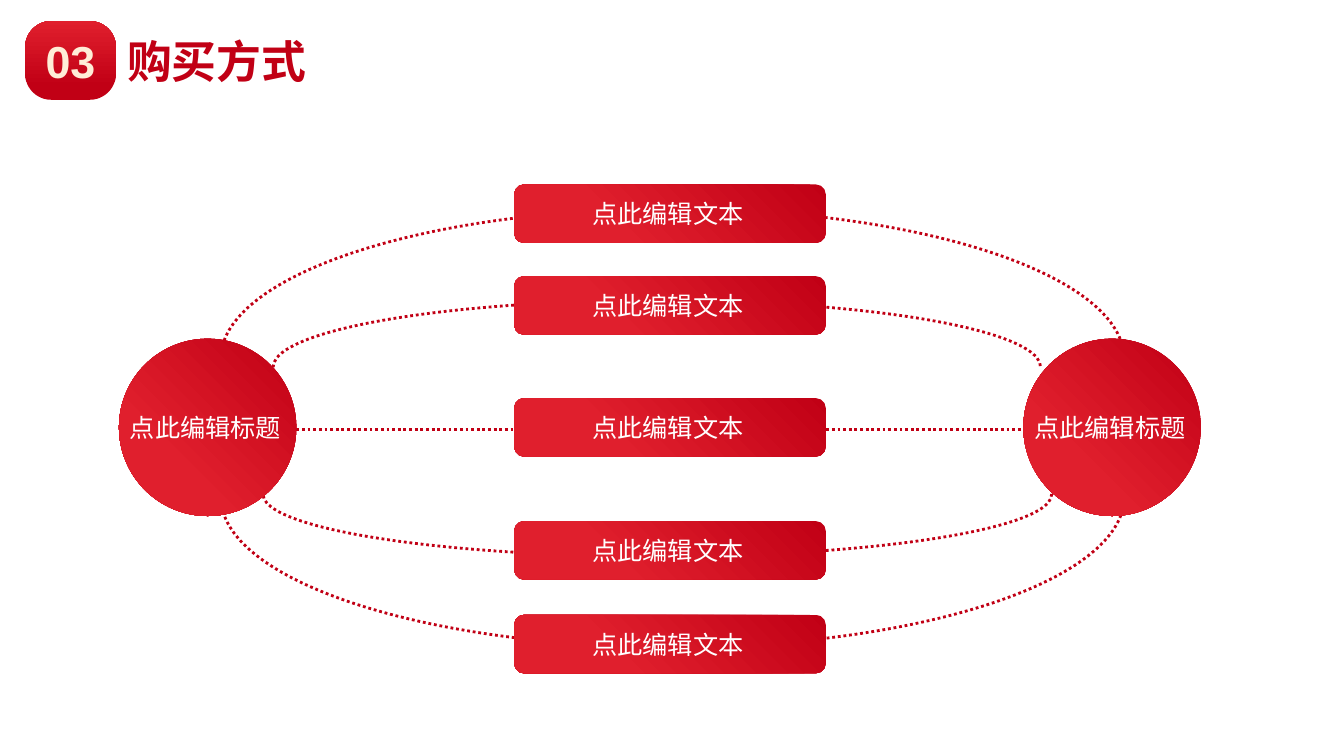
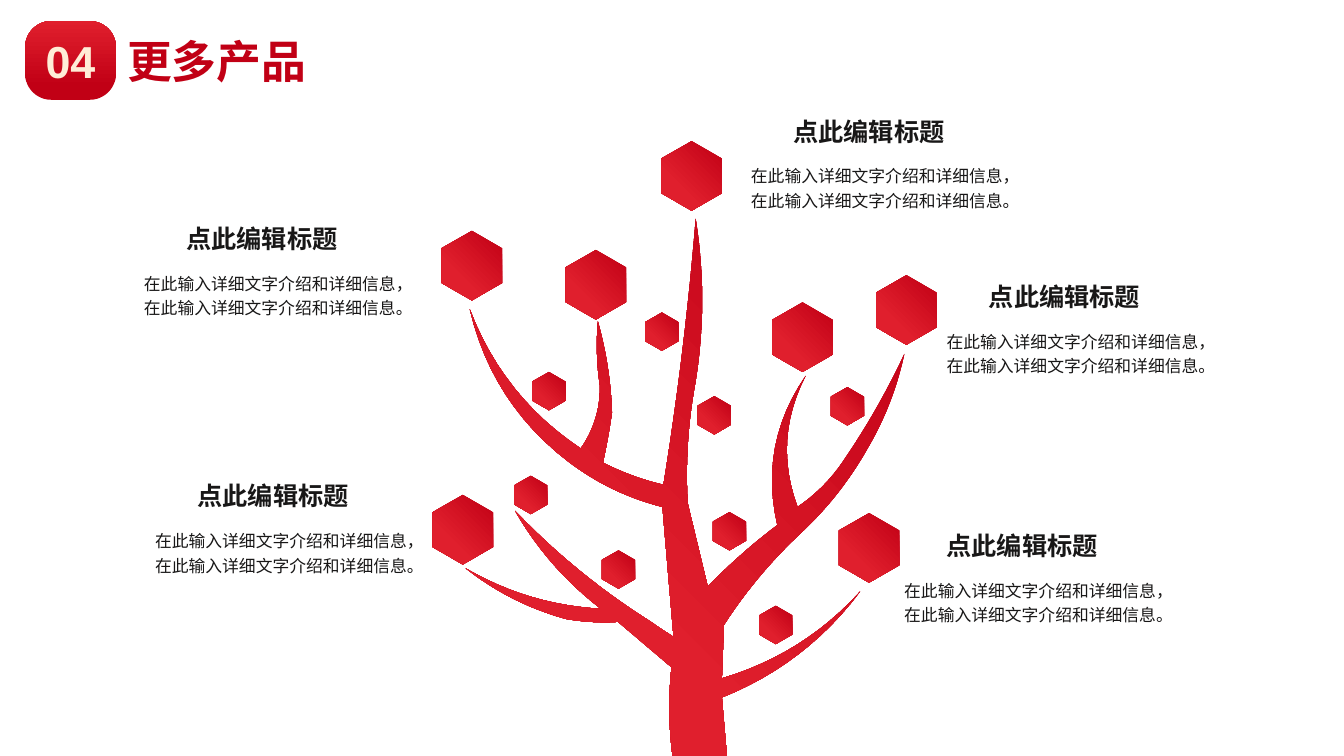
import pptx
import pptx.dml.color
import pptx.enum.dml
import pptx.enum.shapes
import pptx.enum.text
import pptx.oxml.ns
import pptx.util
from lxml import etree

Inches = pptx.util.Inches
Shape = pptx.enum.shapes.MSO_SHAPE
Align = pptx.enum.text.PP_ALIGN
Anchor = pptx.enum.text.MSO_ANCHOR


class Theme:
    font = "Arial"
    deep_red = pptx.dml.color.RGBColor.from_string("C10015")
    bright_red = pptx.dml.color.RGBColor.from_string("E01F2D")
    cream = pptx.dml.color.RGBColor.from_string("FFEDD7")
    white = pptx.dml.color.RGBColor.from_string("FFFFFF")
    ink = pptx.dml.color.RGBColor.from_string("181717")
    title_size = pptx.util.Pt(32)
    label_size = pptx.util.Pt(18)
    body_size = pptx.util.Pt(12)
    dot_width = pptx.util.Pt(2)


def paint_red(shape, deep_at=0, bright_at=0.69, angle=225):
    """Fill a shape with the red gradient, without outline or shadow."""
    shape.shadow.inherit = False
    shape.line.fill.background()
    shape.fill.gradient()
    shape.fill.gradient_angle = angle
    deep_stop, bright_stop = shape.fill.gradient_stops
    deep_stop.color.rgb, deep_stop.position = Theme.deep_red, deep_at
    bright_stop.color.rgb, bright_stop.position = Theme.bright_red, bright_at


def write(shape, text, size, color, bold=False, align=Align.LEFT,
          anchor=Anchor.TOP, wrap=True):
    """Put one formatted paragraph in a shape and return it."""
    frame = shape.text_frame
    frame.text = text
    frame.word_wrap = wrap
    frame.vertical_anchor = anchor
    frame.auto_size = pptx.enum.text.MSO_AUTO_SIZE.NONE
    para = frame.paragraphs[0]
    para.alignment = align
    para.font.name = Theme.font
    para.font.size = size
    para.font.bold = bold
    para.font.color.rgb = color
    return para


deck = pptx.Presentation()
deck.slide_width = Inches(13.33)
deck.slide_height = Inches(7.5)

# Shared header: numbered badge and title
pages = []
for number, title in (("03", "购买方式"), ("04", "更多产品")):
    page = deck.slides.add_slide(deck.slide_layouts[5])
    pages.append(page)
    badge = page.shapes.add_shape(Shape.ROUNDED_RECTANGLE, Inches(0.25),
                                  Inches(0.21), Inches(0.9), Inches(0.78))
    badge.adjustments[0] = 0.33
    paint_red(badge, deep_at=0.17, bright_at=1, angle=90)
    write(badge, number, Theme.title_size, Theme.cream, True, Align.CENTER, Anchor.MIDDLE)
    heading = page.shapes.title
    heading.left, heading.top = Inches(1.16), Inches(0.28)
    heading.width, heading.height = Inches(2.4), Inches(0.64)
    write(heading, title, Theme.title_size, Theme.deep_red, True)
purchase_page, products_page = pages

# Purchase page: dotted arcs; the lower ones are turned upside down
outer_sweep = (109.4, 214.65)
inner_sweep = (107.95, 0)
arcs = [
    # left, top, width, height, rotation, sweep
    (2.19, 2.07, 8.96, 2.98, 0, outer_sweep),
    (2.71, 2.98, 7.61, 1.32, 0, inner_sweep),
    (2.61, 4.29, 7.82, 1.23, 180, inner_sweep),
    (2.19, 3.44, 8.96, 2.98, 180, outer_sweep),
]
dotted = []
for left, top, width, height, rotation, sweep in arcs:
    arc = purchase_page.shapes.add_shape(Shape.ARC, Inches(left), Inches(top),
                                         Inches(width), Inches(height))
    arc.rotation = rotation
    arc.adjustments[0], arc.adjustments[1] = sweep
    arc.fill.background()
    arc.shadow.inherit = False
    dotted.append(arc)
middle_line = purchase_page.shapes.add_connector(
    pptx.enum.shapes.MSO_CONNECTOR.STRAIGHT,
    Inches(2.94), Inches(4.26), Inches(10.16), Inches(4.26))
dotted.append(middle_line)
for curve in dotted:
    curve.line.color.rgb = Theme.deep_red
    curve.line.width = Theme.dot_width
    curve.line.dash_style = pptx.enum.dml.MSO_LINE.ROUND_DOT
etree.SubElement(middle_line._element.spPr, pptx.oxml.ns.qn("a:effectLst"))

# Purchase page: two circles joined by five bars
nodes = [(Shape.OVAL, left, 3.36, 1.76, 1.76, "点此编辑标题") for left in (1.18, 10.15)]
nodes += [(Shape.ROUNDED_RECTANGLE, 5.1, top, 3.09, 0.58, "点此编辑文本")
          for top in (1.83, 2.74, 3.95, 5.17, 6.1)]
for kind, left, top, width, height, label in nodes:
    node = purchase_page.shapes.add_shape(kind, Inches(left), Inches(top),
                                          Inches(width), Inches(height))
    paint_red(node)
    write(node, label, Theme.label_size, Theme.white, align=Align.CENTER,
          anchor=Anchor.MIDDLE, wrap=False)
    node.text_frame.margin_right = Inches(0.14)
    node.text_frame.margin_bottom = Inches(0.05)

# Products page: the tree is one outline, walked clockwise limb by limb.
# Each edge is (end x, end y, bend); bend is the bulge of the edge as a share
# of its length, positive to the right of the walking direction.
trunk_foot = (7.21, 7.5)
limbs = {
    "trunk left side": [(6.67, 7.5, 0), (6.66, 6.62, -0.03), (6.13, 6.17, 0)],
    "low left branch": [(5.61, 6.14, -0.03), (4.62, 5.64, -0.05), (5.96, 6.04, 0.06)],
    "low left twig": [(5.11, 5.07, -0.05), (6.41, 6.14, 0.03), (6.68, 6.32, 0)],
    "high left branch": [(6.57, 5.03, 0), (5.65, 4.59, -0.05),
                         (4.66, 3.07, -0.09), (5.76, 4.45, 0.08)],
    "high left twig": [(5.95, 3.83, 0.08), (5.93, 3.19, -0.03), (6.07, 4.09, -0.03),
                       (5.98, 4.59, -0.01), (6.58, 4.81, 0.03)],
    "treetop": [(6.9, 2.17, 0.01), (6.9, 3.78, -0.04), (6.82, 4.99, 0.03),
                (7.02, 5.82, 0)],
    "high right twig": [(7.71, 5.21, -0.02), (7.99, 3.73, -0.11), (7.91, 5.03, 0.11)],
    "high right branch": [(8.38, 4.55, 0.05), (8.97, 3.51, 0.02), (8.61, 4.44, -0.04),
                          (7.92, 5.31, -0.04), (7.18, 6.2, 0.03)],
    "low right branch": [(7.16, 6.73, 0), (8.53, 5.87, 0.07), (7.16, 6.92, -0.07)],
    "trunk right side": [(*trunk_foot, 0)],
}
steps = 12
tree = [trunk_foot]
for edges in limbs.values():
    for end_x, end_y, bend in edges:
        start_x, start_y = tree[-1]
        run, rise = end_x - start_x, end_y - start_y
        # The control point lies twice as far from the chord as the bulge
        control_x = (start_x + end_x) / 2 - 2 * bend * rise
        control_y = (start_y + end_y) / 2 + 2 * bend * run
        for step in range(1, steps + 1):
            t = step / steps
            near, middle, far = (1 - t) ** 2, 2 * t * (1 - t), t ** 2
            tree.append((near * start_x + middle * control_x + far * end_x,
                         near * start_y + middle * control_y + far * end_y))

# Products page: large and small hexagon leaves, placed by left and top
large_leaves = [(4.38, 2.29), (6.56, 1.4), (8.69, 2.73), (8.32, 5.09),
                (5.61, 2.48), (4.29, 4.91), (7.66, 3)]
small_leaves = [(7.53, 6.01), (5.28, 3.69), (6.4, 3.1), (7.07, 5.08),
                (5.1, 4.72), (8.24, 3.84), (5.97, 5.46), (6.92, 3.93)]
unit_hexagon = [(0.5, 0), (1, 0.25), (1, 0.75), (0.5, 1), (0, 0.75), (0, 0.25)]
outlines = [tree]
for leaves, width, height in ((large_leaves, 0.6, 0.69), (small_leaves, 0.33, 0.38)):
    for left, top in leaves:
        outlines.append([(left + width * x, top + height * y) for x, y in unit_hexagon])
for outline in outlines:
    points = [(Inches(x), Inches(y)) for x, y in outline]
    builder = products_page.shapes.build_freeform(*points[0])
    builder.add_line_segments(points[1:], close=True)
    paint_red(builder.convert_to_shape())

# Products page: five descriptions, each with its heading above
for left, top in ((7.35, 1.56), (1.33, 2.63), (1.44, 5.18), (9.29, 3.2), (8.87, 5.67)):
    description = products_page.shapes.add_textbox(Inches(left), Inches(top),
                                                   Inches(2.8), Inches(0.73))
    para = write(description, "在此输入详细文字介绍和详细信息，在此输入详细文字介绍和详细信息。",
                 Theme.body_size, Theme.ink)
    para.line_spacing = 1.2
    caption = products_page.shapes.add_textbox(Inches(left + 0.42), Inches(top - 0.46),
                                               Inches(2.87), Inches(0.46))
    write(caption, "点此编辑标题", Theme.label_size, Theme.ink, True)

deck.save("out.pptx")
